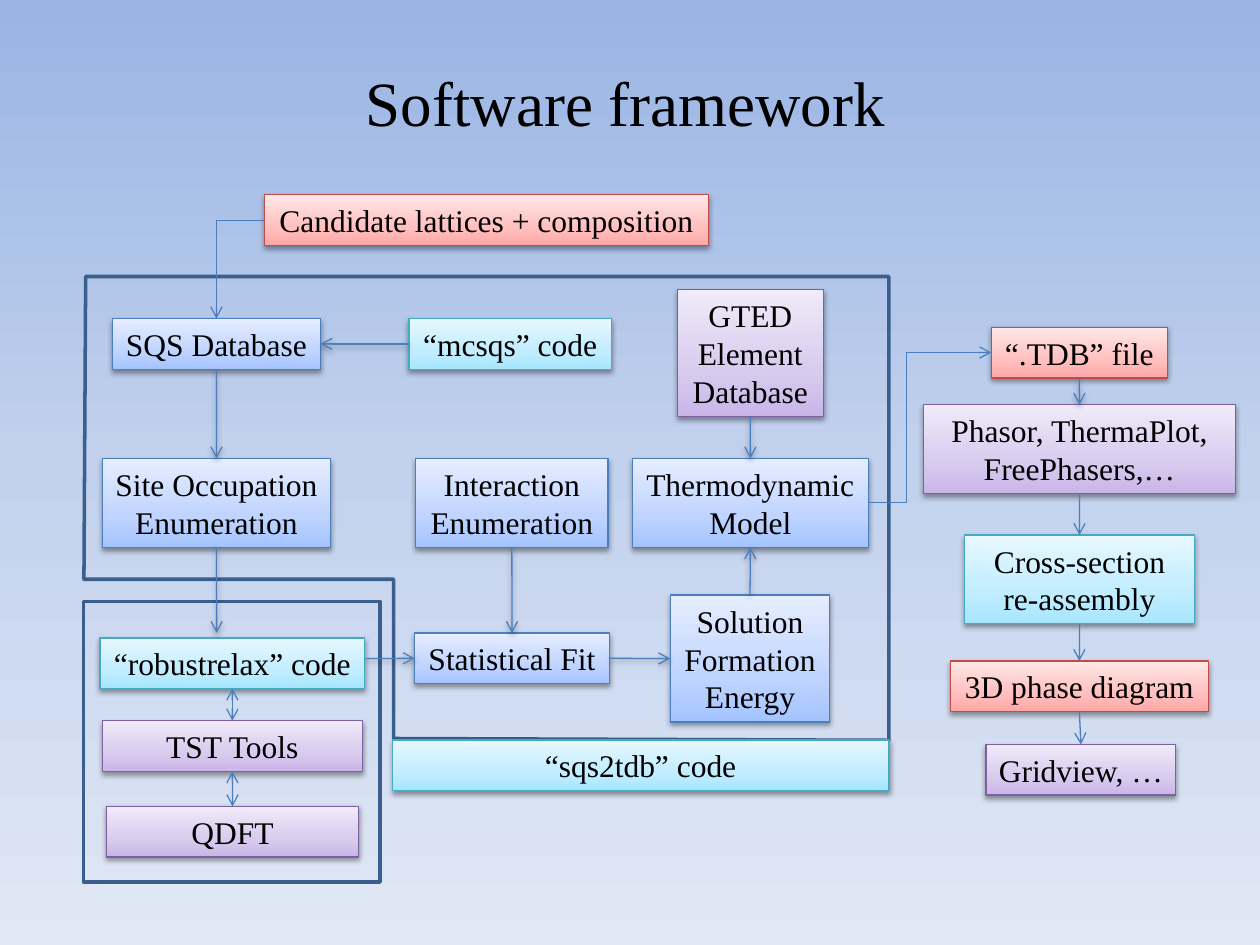
from lxml import etree
from pptx import Presentation
from pptx.dml.color import RGBColor
from pptx.enum import shapes, text
from pptx.oxml.ns import qn
from pptx.util import Pt

THEME = {
    "font": "Times New Roman",
    "title_size": 36,
    "box_size": 18,
    "text": "000000",
    "arrow": "4B7EBC",
    "frame": "3A5F8C",
    "background": [(0, "9AB5E4"), (50, "C2D1ED"), (100, "E1E8F5")],
    # kind: line colour, then the gradient from bottom to top
    "step": ("4B7EBC", [(0, "A4C4FF"), (35, "BFD4FF"), (100, "E6EEFF")]),
    "code": ("46AAC5", [(0, "A7E6FF"), (35, "C1EDFF"), (100, "E7F8FF")]),
    "tool": ("7D60A0", [(0, "C9B5E8"), (35, "D8CBEE"), (100, "F0EAF9")]),
    "data": ("BF4C48", [(0, "FFA6A5"), (35, "FFC0BF"), (100, "FFE7E7")]),
}
PADDING, LINE_HEIGHT = 7.2, 21.8

TITLE = ("Software framework", (26.5, 32.4, 662, 51))

# name: kind, paragraphs, number of text lines, left, top, width
BOXES = {
    "sqs": ("step", ["SQS Database"], 1, 64.2, 182, 119),
    "interaction": ("step", ["Interaction", "Enumeration"], 2, 237.5, 262, 110),
    "occupation": ("step", ["Site Occupation", "Enumeration"], 2, 58.5, 262, 130.5),
    "fit": ("step", ["Statistical Fit"], 1, 237, 361.7, 111.2),
    "elements": ("tool", ["GTED", "Element", "Database"], 3, 387, 165.5, 83.5),
    "energy": ("step", ["Solution", "Formation", "Energy"], 3, 383, 340, 91.2),
    "model": ("step", ["Thermodynamic", "Model"], 2, 361.4, 262, 134.8),
    "tdb": ("data", ["“.TDB” file"], 1, 566.5, 187, 100.5),
    "mcsqs": ("code", ["“mcsqs” code"], 1, 233.7, 182, 115.8),
    "solvers": ("tool", ["Phasor, ThermaPlot, FreePhasers,…"], 2, 527.6, 231.3, 178.5),
    "sqs2tdb": ("code", ["“sqs2tdb” code"], 1, 224.2, 422.8, 283.8),
    "assembly": ("code", ["Cross-section re-assembly"], 2, 551, 305.7, 131.8),
    "diagram": ("data", ["3D phase diagram"], 1, 543, 377.7, 147.6),
    "viewer": ("tool", ["Gridview, …"], 1, 563.5, 425.4, 108.3),
    "tst": ("tool", ["TST Tools"], 1, 58.5, 411.8, 148.6),
    "dft": ("tool", ["QDFT"], 1, 60.9, 460.8, 144),
    "relax": ("code", ["“robustrelax” code"], 1, 57.1, 364.5, 151.4),
    "lattices": ("data", ["Candidate lattices + composition"], 1, 151, 111.3, 254),
}

# Each end is a box side, or a free point
TOP, LEFT, BOTTOM, RIGHT = range(4)
SHADED_ARROWS = [
    (("mcsqs", LEFT), ("sqs", RIGHT)),
    (("sqs", BOTTOM), ("occupation", TOP)),
    (("occupation", BOTTOM), (123.8, 361.7)),
    ((209, 376.3), ("fit", LEFT)),
    (("interaction", BOTTOM), ("fit", TOP)),
    (("fit", RIGHT), ("energy", LEFT)),
    (("elements", BOTTOM), ("model", TOP)),
    (("energy", TOP), ("model", BOTTOM)),
    (("tdb", BOTTOM), ("solvers", TOP)),
]
PLAIN_ARROWS = [
    (("solvers", BOTTOM), ("assembly", TOP)),
    (("assembly", BOTTOM), ("diagram", TOP)),
    (("diagram", BOTTOM), ("viewer", TOP)),
]
DOUBLE_ARROWS = [
    (("relax", BOTTOM), ("tst", TOP)),
    (("tst", BOTTOM), ("dft", TOP)),
]
MODEL_TO_TDB = (("model", RIGHT), ("tdb", LEFT))
LATTICES_TO_SQS = (("lattices", LEFT), ("sqs", TOP))

SQS2TDB_OUTLINE = [(47.8, 331.2), (49.4, 157.5), (508.2, 157.5),
                   (508.2, 422.6), (225.4, 422), (225.4, 331.2)]
RELAX_FRAME = (47.6, 343.6, 169.6, 160.4)


def rgb(value):
    return RGBColor.from_string(value)


def sub(parent, tag, **attributes):
    return etree.SubElement(parent, qn(tag), attributes)


def set_gradient(fill, element, stops, angle):
    fill.gradient()
    fill.gradient_angle = angle
    stop_list = element.find(".//" + qn("a:gsLst"))
    for stop in list(stop_list):
        stop_list.remove(stop)
    for position, color in stops:
        gs = sub(stop_list, "a:gs", pos=str(position * 1000))
        sub(gs, "a:srgbClr", val=color)


def set_line(shape, color, width):
    shape.line.color.rgb = rgb(color)
    shape.line.width = Pt(width)


def set_effects(shape, shaded):
    """Give the shape a soft drop shadow, or none."""
    effects = sub(shape.element.spPr, "a:effectLst")
    if shaded:
        shadow = sub(effects, "a:outerShdw", blurRad="40000", dist="20000",
                     dir="5400000", rotWithShape="0")
        color = sub(shadow, "a:srgbClr", val="000000")
        sub(color, "a:alpha", val="38000")


def write(tf, paragraphs, size):
    for i, words in enumerate(paragraphs):
        p = tf.add_paragraph() if i else tf.paragraphs[0]
        p.alignment = text.PP_ALIGN.CENTER
        r = p.add_run()
        r.text = words
        r.font.name = THEME["font"]
        r.font.size = Pt(size)
        r.font.color.rgb = rgb(THEME["text"])


def add_box(s, kind, paragraphs, lines, left, top, width):
    height = PADDING + lines * LINE_HEIGHT
    sp = s.shapes.add_shape(shapes.MSO_SHAPE.RECTANGLE,
                            Pt(left), Pt(top), Pt(width), Pt(height))
    line, stops = THEME[kind]
    set_gradient(sp.fill, sp.element, stops, 90)
    set_line(sp, line, 0.75)
    set_effects(sp, True)
    tf = sp.text_frame
    tf.word_wrap = lines > len(paragraphs)
    tf.vertical_anchor = text.MSO_ANCHOR.MIDDLE
    write(tf, paragraphs, THEME["box_size"])
    return sp


def add_arrow(s, boxes, ends, shaded=False, double=False,
              kind=shapes.MSO_CONNECTOR.STRAIGHT):
    free = [(0, 0) if end[0] in boxes else end for end in ends]
    c = s.shapes.add_connector(kind, *[Pt(v) for point in free for v in point])
    for end, connect in zip(ends, (c.begin_connect, c.end_connect)):
        if end[0] in boxes:
            connect(boxes[end[0]], end[1])
    set_line(c, THEME["arrow"], 0.75)
    ln = c.element.spPr.find(qn("a:ln"))
    for tag in ["a:headEnd", "a:tailEnd"] if double else ["a:tailEnd"]:
        sub(ln, tag, type="arrow")
    set_effects(c, shaded)
    return c


def style_frame(sp):
    sp.fill.background()
    set_line(sp, THEME["frame"], 2)
    sp.shadow.inherit = False


def main():
    prs = Presentation()
    prs.slide_width, prs.slide_height = Pt(720), Pt(540)
    s = prs.slides.add_slide(prs.slide_layouts[5])
    set_gradient(s.background.fill, s.element, THEME["background"], 270)

    words, area = TITLE
    title = s.shapes.title
    title.left, title.top, title.width, title.height = map(Pt, area)
    write(title.text_frame, [words], THEME["title_size"])

    builder = s.shapes.build_freeform(*SQS2TDB_OUTLINE[0], scale=Pt(1))
    builder.add_line_segments(SQS2TDB_OUTLINE[1:], close=True)
    style_frame(builder.convert_to_shape())

    boxes = {name: add_box(s, *box) for name, box in BOXES.items()}
    style_frame(s.shapes.add_shape(shapes.MSO_SHAPE.RECTANGLE, *map(Pt, RELAX_FRAME)))

    for ends in SHADED_ARROWS:
        add_arrow(s, boxes, ends, shaded=True)
    for ends in PLAIN_ARROWS:
        add_arrow(s, boxes, ends)
    for ends in DOUBLE_ARROWS:
        add_arrow(s, boxes, ends, double=True)

    elbow = shapes.MSO_CONNECTOR.ELBOW
    step = add_arrow(s, boxes, MODEL_TO_TDB, kind=elbow)
    guides = step.element.spPr.find(qn("a:prstGeom")).find(qn("a:avLst"))
    sub(guides, "a:gd", name="adj1", fmla="val 30800")
    corner = add_arrow(s, boxes, LATTICES_TO_SQS, kind=elbow)
    corner.element.spPr.find(qn("a:prstGeom")).set("prst", "bentConnector2")

    prs.save("out.pptx")


if __name__ == "__main__":
    main()
